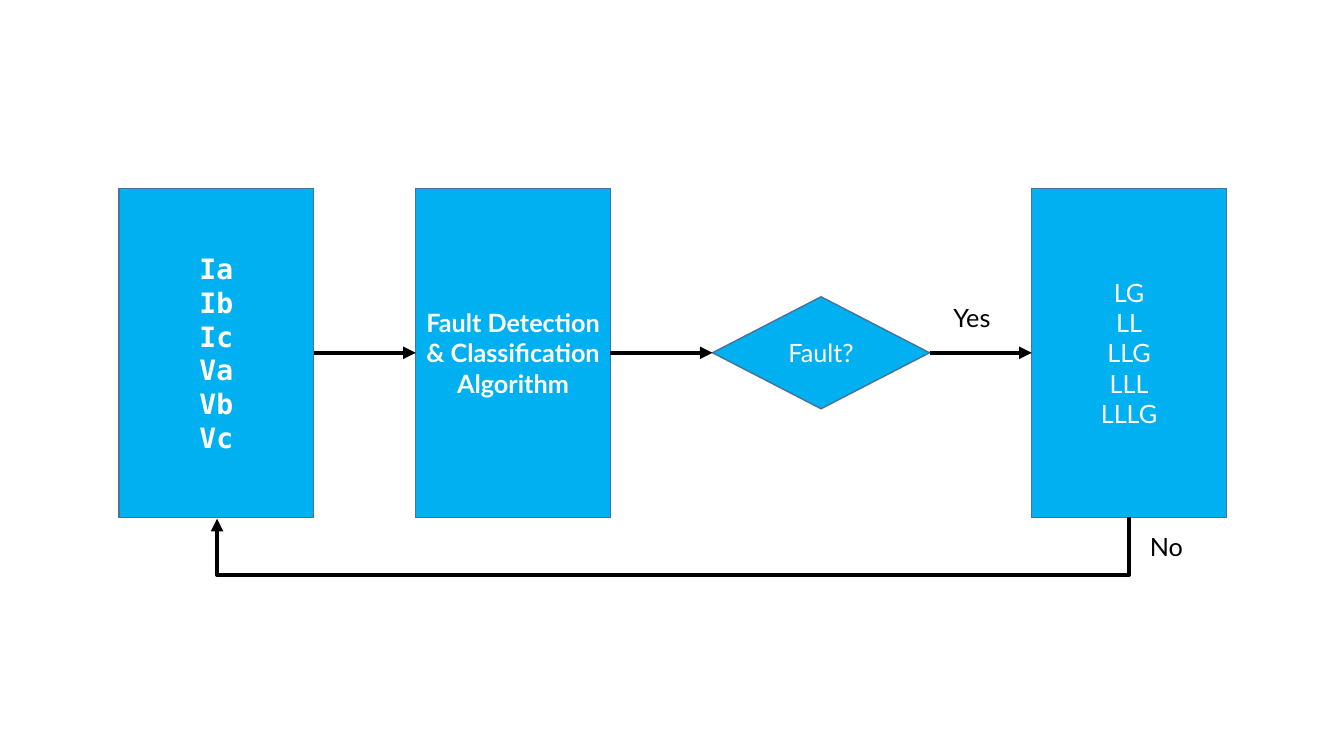
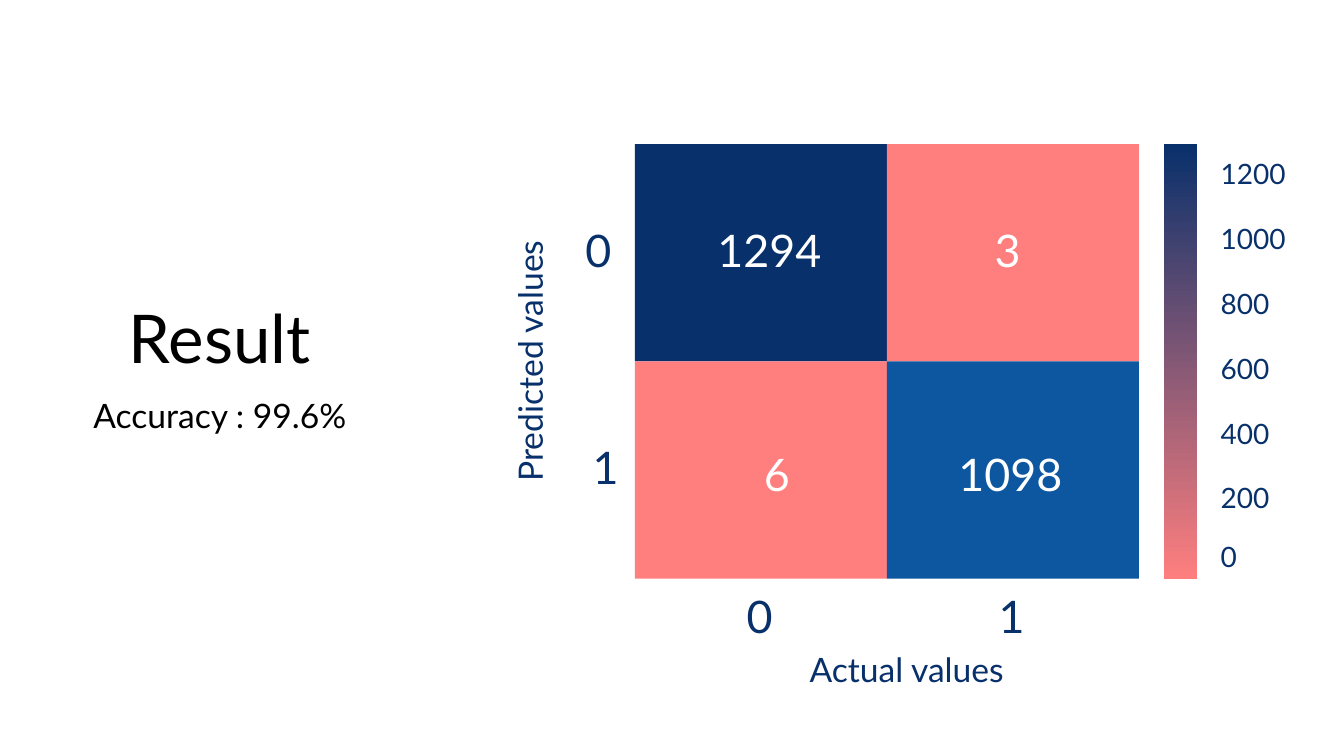
"""Build two slides: a fault detection flow and its confusion matrix."""
from lxml.etree import SubElement
from pptx import Presentation
from pptx.dml.color import RGBColor
from pptx.enum.shapes import MSO_CONNECTOR, MSO_SHAPE
from pptx.enum.text import MSO_ANCHOR, MSO_AUTO_SIZE, PP_ALIGN
from pptx.oxml.ns import qn
from pptx.util import Pt

BLACK = RGBColor(0x00, 0x00, 0x00)
WHITE = RGBColor(0xFF, 0xFF, 0xFF)
SKY = RGBColor(0x00, 0xB0, 0xF0)
OUTLINE = RGBColor(0x43, 0x73, 0x9E)
NAVY = RGBColor(0x08, 0x30, 0x6B)
BLUE = RGBColor(0x0D, 0x57, 0xA1)
CORAL = RGBColor(0xFF, 0x7F, 0x7F)
SANS = "Lato"
MONO = "DejaVu Sans Mono"


def write(frame, text, size, colour, align=PP_ALIGN.CENTER, font=SANS, bold=False):
    frame.word_wrap = True
    frame.auto_size = MSO_AUTO_SIZE.NONE
    frame.text = text
    for para in frame.paragraphs:
        para.alignment = align
        para.space_before = Pt(0)
        para.font.name = font
        para.font.size = Pt(size)
        para.font.bold = bold
        para.font.color.rgb = colour


def add_label(slide, text, left, top, width, size, colour, align=PP_ALIGN.LEFT):
    box = slide.shapes.add_textbox(Pt(left), Pt(top), Pt(width), Pt(size * 1.2 + 7.2))
    write(box.text_frame, text, size, colour, align)
    return box


deck = Presentation()
deck.slide_width, deck.slide_height = Pt(960), Pt(540)

flow = deck.slides.add_slide(deck.slide_layouts[6])
MIDDLE, GAP, FLOW_LEFT = 252, 73, 85
BOX_WIDTH, BOX_HEIGHT = 139, 235
steps = [
    (MSO_SHAPE.RECTANGLE, BOX_WIDTH, BOX_HEIGHT, "Ia\nIb\nIc\nVa\nVb\nVc", 20, MONO, True),
    (MSO_SHAPE.RECTANGLE, BOX_WIDTH, BOX_HEIGHT,
     "Fault Detection\n& Classification\nAlgorithm", 18, SANS, True),
    (MSO_SHAPE.DIAMOND, 155, 80, "Fault?", 18, SANS, False),
    (MSO_SHAPE.RECTANGLE, BOX_WIDTH, BOX_HEIGHT, "LG\nLL\nLLG\nLLL\nLLLG", 18, SANS, False),
]
boxes = []
left = FLOW_LEFT
for kind, width, height, text, size, font, bold in steps:
    box = flow.shapes.add_shape(kind, Pt(left), Pt(MIDDLE - height / 2), Pt(width), Pt(height))
    box.shadow.inherit = False
    box.fill.solid()
    box.fill.fore_color.rgb = SKY
    box.line.color.rgb = OUTLINE
    box.line.width = Pt(1)
    frame = box.text_frame
    frame.margin_left = frame.margin_right = 0
    frame.vertical_anchor = MSO_ANCHOR.MIDDLE
    write(frame, text, size, WHITE, font=font, bold=bold)
    boxes.append(box)
    left += width + GAP

arrows = []
for source, target in zip(boxes, boxes[1:]):
    arrow = flow.shapes.add_connector(MSO_CONNECTOR.STRAIGHT, 0, 0, 0, 0)
    arrow.begin_connect(source, 3)
    arrow.end_connect(target, 1)
    arrows.append(arrow)

LOOP_LEFT, LOOP_RIGHT, LOOP_TOP, LOOP_DROP = 155, 806.5, 369.5, 41.5
center = (LOOP_LEFT + LOOP_RIGHT) / 2
span = LOOP_RIGHT - LOOP_LEFT
loop_top = LOOP_TOP + 0.5 - span / 2
loop = flow.shapes.add_connector(
    MSO_CONNECTOR.ELBOW, Pt(center - 0.5), Pt(loop_top), Pt(center + 0.5), Pt(loop_top + span))
loop.element.spPr.find(qn("a:xfrm")).set("rot", "5400000")
adjustments = loop.element.spPr.find(qn("a:prstGeom")).find(qn("a:avLst"))
SubElement(adjustments, qn("a:gd"), name="adj1", fmla=f"val {int(LOOP_DROP * 100000)}")
arrows.append(loop)

for arrow in arrows:
    arrow.line.color.rgb = BLACK
    arrow.line.width = Pt(3)
    SubElement(arrow.line._get_or_add_ln(), qn("a:tailEnd"), type="triangle")
    SubElement(arrow.element.spPr, qn("a:effectLst"))

add_label(flow, "Yes", 664, 212.4, 60.5, 18, BLACK, PP_ALIGN.CENTER)
add_label(flow, "No", 803, 376, 60.5, 18, BLACK, PP_ALIGN.CENTER)

result = deck.slides.add_slide(deck.slide_layouts[0])
for holder, text, top, height, size in [
    (result.shapes.title, "Result", 208, 65, 48),
    (result.placeholders[1], "Accuracy : 99.6%", 278.6, 36, 24),
]:
    holder.left, holder.top, holder.width, holder.height = Pt(45), Pt(top), Pt(224), Pt(height)
    holder.text_frame.vertical_anchor = MSO_ANCHOR.TOP
    write(holder.text_frame, text, size, BLACK)

GRID_LEFT, GRID_TOP, CELL_WIDTH, CELL_HEIGHT = 453.6, 103, 180, 155.2
tiles = [
    (GRID_LEFT + column * CELL_WIDTH, GRID_TOP + row * CELL_HEIGHT, CELL_WIDTH, CELL_HEIGHT, colour)
    for row, colours in enumerate([(NAVY, CORAL), (CORAL, BLUE)])
    for column, colour in enumerate(colours)
]
tiles.append((831.6, GRID_TOP, 23.8, 2 * CELL_HEIGHT, None))
for left, top, width, height, colour in tiles:
    tile = result.shapes.add_shape(MSO_SHAPE.RECTANGLE, Pt(left), Pt(top), Pt(width), Pt(height))
    tile.shadow.inherit = False
    tile.line.fill.background()
    if colour is not None:
        tile.fill.solid()
        tile.fill.fore_color.rgb = colour
    else:
        tile.fill.gradient()
        tile.fill.gradient_angle = 270
        for stop, shade in zip(tile.fill.gradient_stops, (NAVY, CORAL)):
            stop.color.rgb = shade

for text, left, top, colour in [
    ("1294", 505.4, 155.5, WHITE),
    ("3", 703.4, 155.5, WHITE),
    ("6", 538.5, 315.4, WHITE),
    ("1098", 677.5, 315.4, WHITE),
    ("0", 411, 155.5, NAVY),
    ("1", 416.2, 310.3, NAVY),
    ("0", 526.3, 416.9, NAVY),
    ("1", 706.3, 416.9, NAVY),
]:
    add_label(result, text, left, top, 93, 32, colour)

add_label(result, "Actual values", 526.3, 460, 242.6, 24, NAVY, PP_ALIGN.CENTER)
predicted = add_label(result, "Predicted values", 257, 239.8, 242.6, 24, NAVY, PP_ALIGN.CENTER)
predicted.rotation = 270

for index, value in enumerate(range(1200, -1, -200)):
    add_label(result, str(value), 864.7, min(108 + 46.4 * index, 381.6), 65.5, 20, NAVY)

deck.save("out.pptx")
